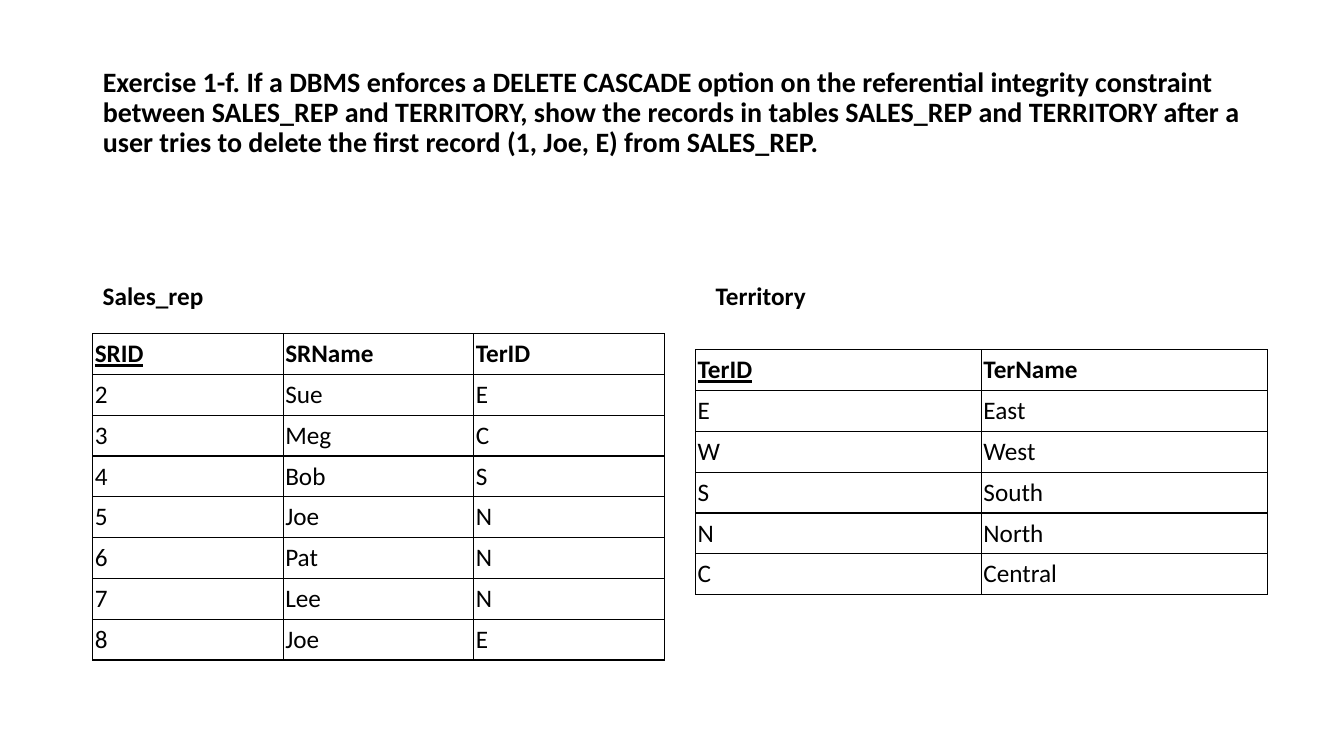
from dataclasses import dataclass

from lxml import etree
from pptx import Presentation
from pptx import util as u
from pptx.dml.color import RGBColor
from pptx.enum import text
from pptx.oxml import ns
from pptx.slide import Slide
from pptx.table import _Cell
from pptx.text.text import TextFrame


@dataclass(frozen=True)
class Theme:
    font: str = "Calibri"
    ink: str = "000000"
    title_size: int = 20
    body_size: int = 18
    border_width: int = 1
    cell_margin: float = 0.02
    row_height: float = 0.405


@dataclass(frozen=True)
class Relation:
    name: str
    label_left: float
    label_width: float
    left: float
    top: float
    rows: list[tuple[str, ...]]


THEME = Theme()
LABEL_TOP, LABEL_HEIGHT = 2.73, 0.4
TABLE_WIDTH = 5.67
TITLE = (
    "Exercise 1-f. If a DBMS enforces a DELETE CASCADE option on the referential "
    "integrity constraint between SALES_REP and TERRITORY, show the records in tables "
    "SALES_REP and TERRITORY after a user tries to delete the first record "
    "(1, Joe, E) from SALES_REP."
)
RELATIONS = [
    Relation("Sales_rep", 0.92, 1.21, 0.92, 3.31, [
        ("SRID", "SRName", "TerID"),
        ("2", "Sue", "E"),
        ("3", "Meg", "C"),
        ("4", "Bob", "S"),
        ("5", "Joe", "N"),
        ("6", "Pat", "N"),
        ("7", "Lee", "N"),
        ("8", "Joe", "E"),
    ]),
    Relation("Territory", 7, 1.1, 6.9, 3.47, [
        ("TerID", "TerName"),
        ("E", "East"),
        ("W", "West"),
        ("S", "South"),
        ("N", "North"),
        ("C", "Central"),
    ]),
]


def write(frame: TextFrame, words: str, size: int, bold: bool, underline: bool = False) -> None:
    frame.text = words
    font = frame.paragraphs[0].runs[0].font
    font.name, font.size = THEME.font, u.Pt(size)
    font.bold, font.underline = bold, underline
    font.color.rgb = RGBColor.from_string(THEME.ink)


def add_borders(cell: _Cell) -> None:
    properties = cell._tc.get_or_add_tcPr()
    for index, side in enumerate(("lnL", "lnR", "lnT", "lnB")):
        line = etree.Element(ns.qn(f"a:{side}"), w=str(u.Pt(THEME.border_width)))
        fill = etree.SubElement(line, ns.qn("a:solidFill"))
        etree.SubElement(fill, ns.qn("a:srgbClr"), val=THEME.ink)
        properties.insert(index, line)


def add_title(page: Slide) -> None:
    title = page.shapes.title
    title.left, title.top = u.Inches(0.92), u.Inches(0.4)
    title.width, title.height = u.Inches(11.5), u.Inches(1.45)
    frame = title.text_frame
    write(frame, TITLE, THEME.title_size, bold=True)
    frame.word_wrap = True
    frame.auto_size = text.MSO_AUTO_SIZE.NONE
    frame.vertical_anchor = text.MSO_ANCHOR.MIDDLE
    frame.paragraphs[0].alignment = text.PP_ALIGN.LEFT
    frame.paragraphs[0].line_spacing = 0.9


def add_label(page: Slide, relation: Relation) -> None:
    box = page.shapes.add_textbox(
        u.Inches(relation.label_left), u.Inches(LABEL_TOP),
        u.Inches(relation.label_width), u.Inches(LABEL_HEIGHT))
    write(box.text_frame, relation.name, THEME.body_size, bold=True)
    box.text_frame.word_wrap = False
    box.text_frame.auto_size = text.MSO_AUTO_SIZE.SHAPE_TO_FIT_TEXT


def add_relation_table(page: Slide, relation: Relation) -> None:
    """Draw the records, with a bold header and the key column's name underlined."""
    row_count, column_count = len(relation.rows), len(relation.rows[0])
    table = page.shapes.add_table(
        row_count, column_count, u.Inches(relation.left), u.Inches(relation.top),
        u.Inches(TABLE_WIDTH), u.Inches(THEME.row_height * row_count)).table
    table.first_row = table.horz_banding = False
    margin = u.Inches(THEME.cell_margin)
    for row, values in enumerate(relation.rows):
        for column, value in enumerate(values):
            cell = table.cell(row, column)
            header = row == 0
            write(cell.text_frame, value, THEME.body_size, header, header and column == 0)
            cell.vertical_anchor = text.MSO_ANCHOR.MIDDLE
            cell.margin_left = cell.margin_right = margin
            cell.margin_top = cell.margin_bottom = margin
            cell.fill.background()
            add_borders(cell)


def main() -> None:
    deck = Presentation()
    deck.slide_width, deck.slide_height = u.Inches(13.33), u.Inches(7.5)
    page = deck.slides.add_slide(deck.slide_layouts.get_by_name("Title Only"))
    add_title(page)
    for relation in RELATIONS:
        add_relation_table(page, relation)
    for relation in RELATIONS:
        add_label(page, relation)
    deck.save("out.pptx")


if __name__ == "__main__":
    main()
